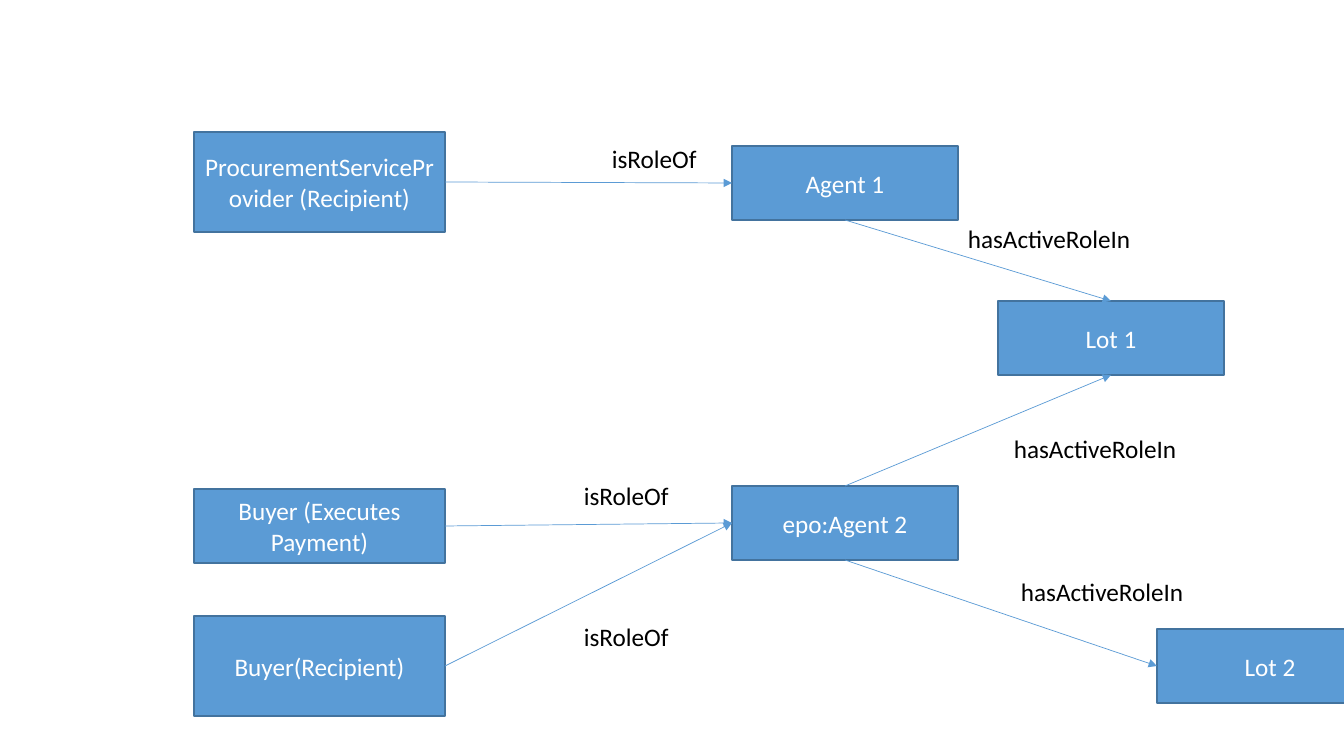
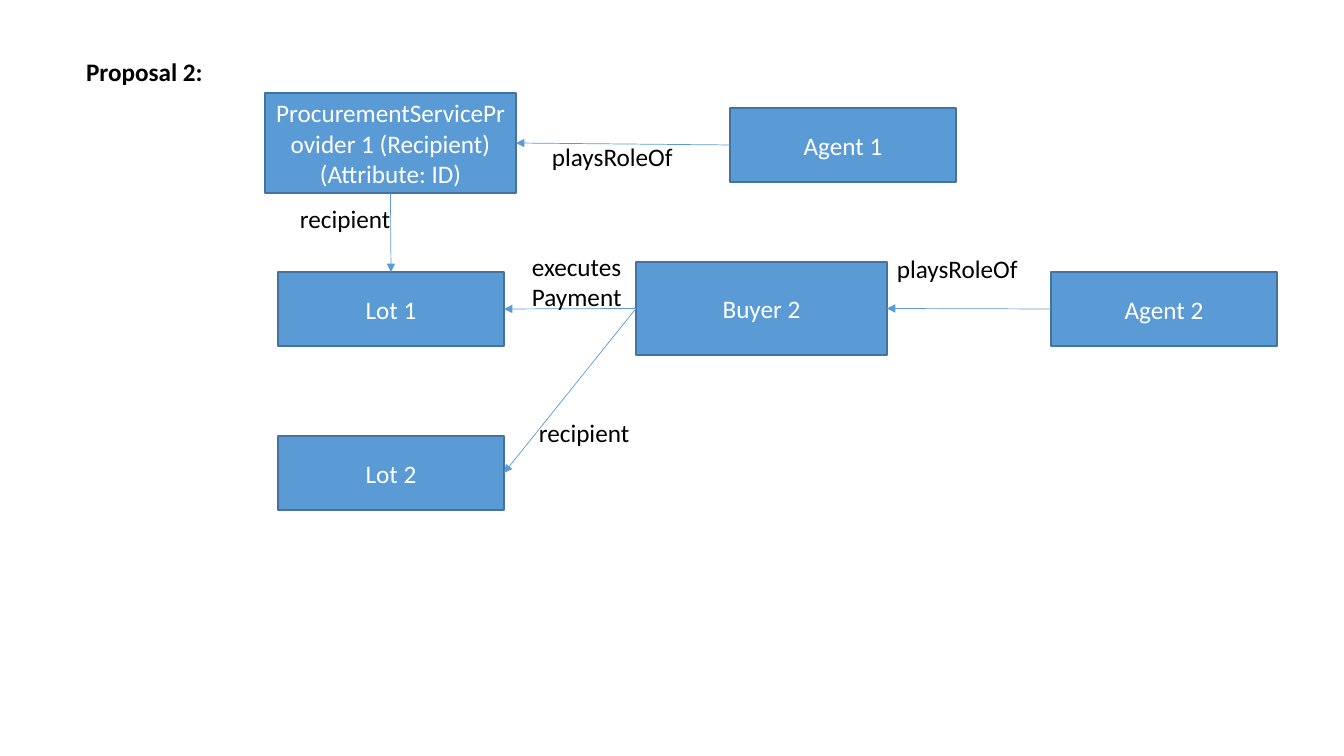
from dataclasses import dataclass

from lxml import etree
from pptx import Presentation
from pptx.dml.color import RGBColor
from pptx.enum.shapes import MSO_CONNECTOR, MSO_SHAPE
from pptx.enum.text import MSO_ANCHOR, MSO_AUTO_SIZE, PP_ALIGN
from pptx.oxml.ns import qn
from pptx.util import Emu, Pt

RECT = MSO_SHAPE.RECTANGLE
LINE = MSO_CONNECTOR.STRAIGHT
LEFT, MID = PP_ALIGN.LEFT, PP_ALIGN.CENTER
HIGH, HALF = MSO_ANCHOR.TOP, MSO_ANCHOR.MIDDLE
GROW, FIXED = MSO_AUTO_SIZE.SHAPE_TO_FIT_TEXT, MSO_AUTO_SIZE.NONE
TOP, WEST, BASE, EAST = range(4)
BLANK, TITLED = 6, 5


@dataclass(frozen=True)
class Theme:
    fill: RGBColor = RGBColor(0x5B, 0x9B, 0xD5)
    edge: RGBColor = RGBColor(0x43, 0x73, 0x9E)
    ink: RGBColor = RGBColor(0, 0, 0)
    pale: RGBColor = RGBColor(255, 255, 255)
    font: str = "Calibri"
    size: float = 18
    rim: float = 1
    wire: float = 0.5


@dataclass(frozen=True)
class Box:
    key: str
    text: str
    x: int
    y: int
    w: int = 226
    h: int = 74


@dataclass(frozen=True)
class Link:
    start: str
    out: int
    end: str
    into: int


@dataclass(frozen=True)
class Label:
    text: str
    x: int
    y: int
    w: int = 200
    h: int = 40


@dataclass(frozen=True)
class Page:
    boxes: list[Box]
    links: list[Link]
    labels: list[Label]
    title: Label | None = None


THEME = Theme()
WIDE = 251
TALL = 100
SLIM = 113

PAGES = [
    Page(
        boxes=[
            Box("provider", "ProcurementServiceProvider (Recipient)", 194, 132, WIDE, TALL),
            Box("payer", "Buyer (Executes Payment)", 194, 489, WIDE),
            Box("taker", "Buyer(Recipient)", 194, 616, WIDE, TALL),
            Box("agent1", "Agent 1", 732, 146),
            Box("agent2", "epo:Agent 2", 732, 486),
            Box("lot1", "Lot 1", 998, 301),
            Box("lot2", "Lot 2", 1157, 629),
        ],
        links=[
            Link("provider", EAST, "agent1", WEST),
            Link("payer", EAST, "agent2", WEST),
            Link("taker", EAST, "agent2", WEST),
            Link("agent1", BASE, "lot1", TOP),
            Link("agent2", TOP, "lot1", BASE),
            Link("agent2", BASE, "lot2", WEST),
        ],
        labels=[
            Label("isRoleOf", 602, 138),
            Label("isRoleOf", 574, 475),
            Label("isRoleOf", 574, 616),
            Label("hasActiveRoleIn", 958, 218),
            Label("hasActiveRoleIn", 1004, 428),
            Label("hasActiveRoleIn", 1011, 571),
        ],
    ),
    Page(
        title=Label("Proposal 2:", 76, 51, 406),
        boxes=[
            Box("provider", "ProcurementServiceProvider 1 (Recipient) (Attribute: ID)",
                265, 93, WIDE, TALL),
            Box("buyer", "Buyer 2", 636, 262, WIDE, 93),
            Box("agent1", "Agent 1", 730, 108),
            Box("agent2", "Agent 2", 1051, 272),
            Box("lot1", "Lot 1", 278, 272),
            Box("lot2", "Lot 2", 278, 436),
        ],
        links=[
            Link("agent1", WEST, "provider", EAST),
            Link("provider", BASE, "lot1", TOP),
            Link("agent2", WEST, "buyer", EAST),
            Link("buyer", WEST, "lot1", EAST),
            Link("buyer", WEST, "lot2", EAST),
        ],
        labels=[
            Label("playsRoleOf", 542, 136),
            Label("playsRoleOf", 887, 248),
            Label("executesPayment", 522, 246, SLIM, 71),
            Label("recipient", 290, 198, SLIM),
            Label("recipient", 529, 412, SLIM),
        ],
    ),
]


def px(n: int) -> Emu:
    return Emu(round(n * 914400 / 100.8))


def area(item: Box | Label) -> list[Emu]:
    return [px(n) for n in (item.x, item.y, item.w, item.h)]


def write(shape, text: str, *, color: RGBColor = THEME.ink, bold: bool = False,
          align=LEFT, anchor=HIGH, fit=GROW) -> None:
    frame = shape.text_frame
    frame.word_wrap = True
    frame.auto_size = fit
    frame.vertical_anchor = anchor
    para = frame.paragraphs[0]
    para.alignment = align
    run = para.add_run()
    run.text = text
    run.font.name = THEME.font
    run.font.size = Pt(THEME.size)
    run.font.bold = bold
    run.font.color.rgb = color


def draw_box(slide, box: Box):
    shape = slide.shapes.add_shape(RECT, *area(box))
    shape.shadow.inherit = False
    shape.fill.solid()
    shape.fill.fore_color.rgb = THEME.fill
    shape.line.color.rgb = THEME.edge
    shape.line.width = Pt(THEME.rim)
    write(shape, box.text, color=THEME.pale, align=MID, anchor=HALF, fit=FIXED)
    return shape


def draw_link(slide, link: Link, nodes: dict) -> None:
    wire = slide.shapes.add_connector(LINE, 0, 0, 0, 0)
    wire.begin_connect(nodes[link.start], link.out)
    wire.end_connect(nodes[link.end], link.into)
    wire.line.color.rgb = THEME.fill
    wire.line.width = Pt(THEME.wire)
    props = wire.element.spPr
    etree.SubElement(props.find(qn("a:ln")), qn("a:tailEnd"), type="triangle")
    etree.SubElement(props, qn("a:effectLst"))


def draw_label(slide, label: Label) -> None:
    write(slide.shapes.add_textbox(*area(label)), label.text)


def draw_title(slide, label: Label) -> None:
    title = slide.shapes.title
    title.left, title.top, title.width, title.height = area(label)
    write(title, label.text, bold=True)


def draw_page(deck, page: Page) -> None:
    slide = deck.slides.add_slide(deck.slide_layouts[TITLED if page.title else BLANK])
    if page.title:
        draw_title(slide, page.title)
    nodes = {box.key: draw_box(slide, box) for box in page.boxes}
    for link in page.links:
        draw_link(slide, link, nodes)
    for label in page.labels:
        draw_label(slide, label)


def main() -> None:
    deck = Presentation()
    deck.slide_width, deck.slide_height = px(1344), px(756)
    for page in PAGES:
        draw_page(deck, page)
    deck.save("out.pptx")


main()
